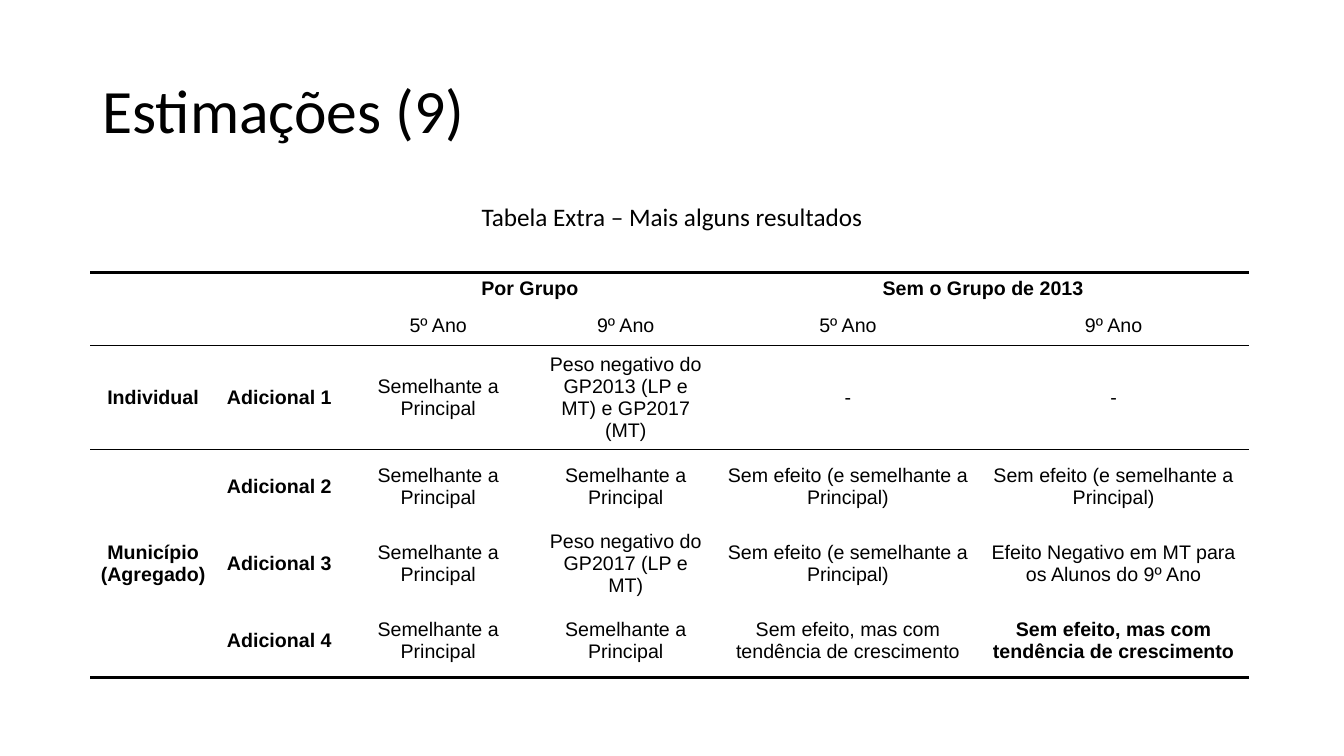
"""Build the slide with the table of additional estimation results."""
from dataclasses import dataclass

from lxml.etree import SubElement
from pptx import Presentation
from pptx.dml.color import RGBColor
from pptx.enum.text import MSO_ANCHOR, PP_ALIGN
from pptx.oxml.ns import qn
from pptx.util import Cm, Pt

TITLE = "Estimações (9)"
CAPTION = "Tabela Extra – Mais alguns resultados"
SIMILAR = "Semelhante a Principal"
NO_EFFECT = "Sem efeito (e semelhante a Principal)"
GROWTH = "Sem efeito, mas com tendência de crescimento"
ROWS = [
    ["", "", "Por Grupo", "", "Sem o Grupo de 2013", ""],
    ["", "", "5º Ano", "9º Ano", "5º Ano", "9º Ano"],
    ["Individual", "Adicional 1", SIMILAR,
     "Peso negativo do GP2013 (LP e MT) e GP2017 (MT)", "-", "-"],
    ["Município\n(Agregado)", "Adicional 2", SIMILAR, SIMILAR, NO_EFFECT, NO_EFFECT],
    ["", "Adicional 3", SIMILAR, "Peso negativo do GP2017 (LP e MT)", NO_EFFECT,
     "Efeito Negativo em MT para os Alunos do 9º Ano"],
    ["", "Adicional 4", SIMILAR, SIMILAR, GROWTH, GROWTH],
]
MERGES = [((0, 2), (0, 3)), ((0, 4), (0, 5)), ((3, 0), (5, 0))]
BOLD_RESULT = (5, 5)
COLUMN_WIDTHS = [3.18, 3.18, 4.83, 4.62, 6.58, 6.81]
ROW_HEIGHTS = [0.84, 0.99, 2.47, 1.86, 1.86, 1.86]
RULES = {0: 2.25, 2: 1, 3: 1, 6: 2.25}


@dataclass(frozen=True)
class Theme:
    ink: str = "000000"
    paper: str = "FFFFFF"
    heading_font: str = "Calibri"
    table_font: str = "Arial"
    title_size: int = 44
    caption_size: int = 18
    table_size: int = 14


THEME = Theme()


def add_span(para, text, font, size, bold=False):
    span = para.add_run()
    span.text = text
    span.font.name = font
    span.font.size = Pt(size)
    span.font.bold = bold
    span.font.color.rgb = RGBColor.from_string(THEME.ink)


def add_heading(page, text, left, top, width, height, size, align, anchor):
    box = page.shapes.add_textbox(Cm(left), Cm(top), Cm(width), Cm(height))
    frame = box.text_frame
    frame.word_wrap = True
    frame.vertical_anchor = anchor
    para = frame.paragraphs[0]
    para.alignment = align
    add_span(para, text, THEME.heading_font, size)
    return para


def set_border(cell, side, width):
    properties = cell._tc.get_or_add_tcPr()
    line = SubElement(properties, qn(f"a:ln{side}"))
    if width:
        line.set("w", str(Pt(width)))
        fill = SubElement(line, qn("a:solidFill"))
        SubElement(fill, qn("a:srgbClr"), val=THEME.ink)
    else:
        SubElement(line, qn("a:noFill"))


def style_cell(cell, row, column):
    last_row = row + (cell.span_height if cell.is_merge_origin else 1)
    widths = {"L": 0, "R": 0, "T": RULES.get(row, 0), "B": RULES.get(last_row, 0)}
    for side, width in widths.items():
        set_border(cell, side, width)
    cell.fill.solid()
    cell.fill.fore_color.rgb = RGBColor.from_string(THEME.paper)
    cell.vertical_anchor = MSO_ANCHOR.MIDDLE
    text = ROWS[row][column]
    if not text:
        cell.margin_top = cell.margin_bottom = Cm(0)
        return
    bold = row == 0 or column < 2 or (row, column) == BOLD_RESULT
    frame = cell.text_frame
    for index, line in enumerate(text.split("\n")):
        para = frame.add_paragraph() if index else frame.paragraphs[0]
        para.alignment = PP_ALIGN.CENTER
        add_span(para, line, THEME.table_font, THEME.table_size, bold)


def add_results(page):
    frame = page.shapes.add_table(
        len(ROWS), len(COLUMN_WIDTHS), Cm(2.27), Cm(6.86),
        Cm(sum(COLUMN_WIDTHS)), Cm(sum(ROW_HEIGHTS)))
    table = frame.table
    table.first_row = table.horz_banding = False
    for column, width in zip(table.columns, COLUMN_WIDTHS):
        column.width = Cm(width)
    for row, height in zip(table.rows, ROW_HEIGHTS):
        row.height = Cm(height)
    for start, end in MERGES:
        table.cell(*start).merge(table.cell(*end))
    for row in range(len(ROWS)):
        for column in range(len(COLUMN_WIDTHS)):
            style_cell(table.cell(row, column), row, column)


def main():
    deck = Presentation()
    deck.slide_width, deck.slide_height = Cm(33.87), Cm(19.05)
    page = deck.slides.add_slide(deck.slide_layouts[6])
    title = add_heading(page, TITLE, 2.33, 1.01, 29.21, 3.68, THEME.title_size,
                        PP_ALIGN.LEFT, MSO_ANCHOR.MIDDLE)
    title.line_spacing = 0.9
    add_results(page)
    add_heading(page, CAPTION, 0, 4.96, 33.87, 1.03, THEME.caption_size,
                PP_ALIGN.CENTER, MSO_ANCHOR.TOP)
    deck.save("out.pptx")


if __name__ == "__main__":
    main()
